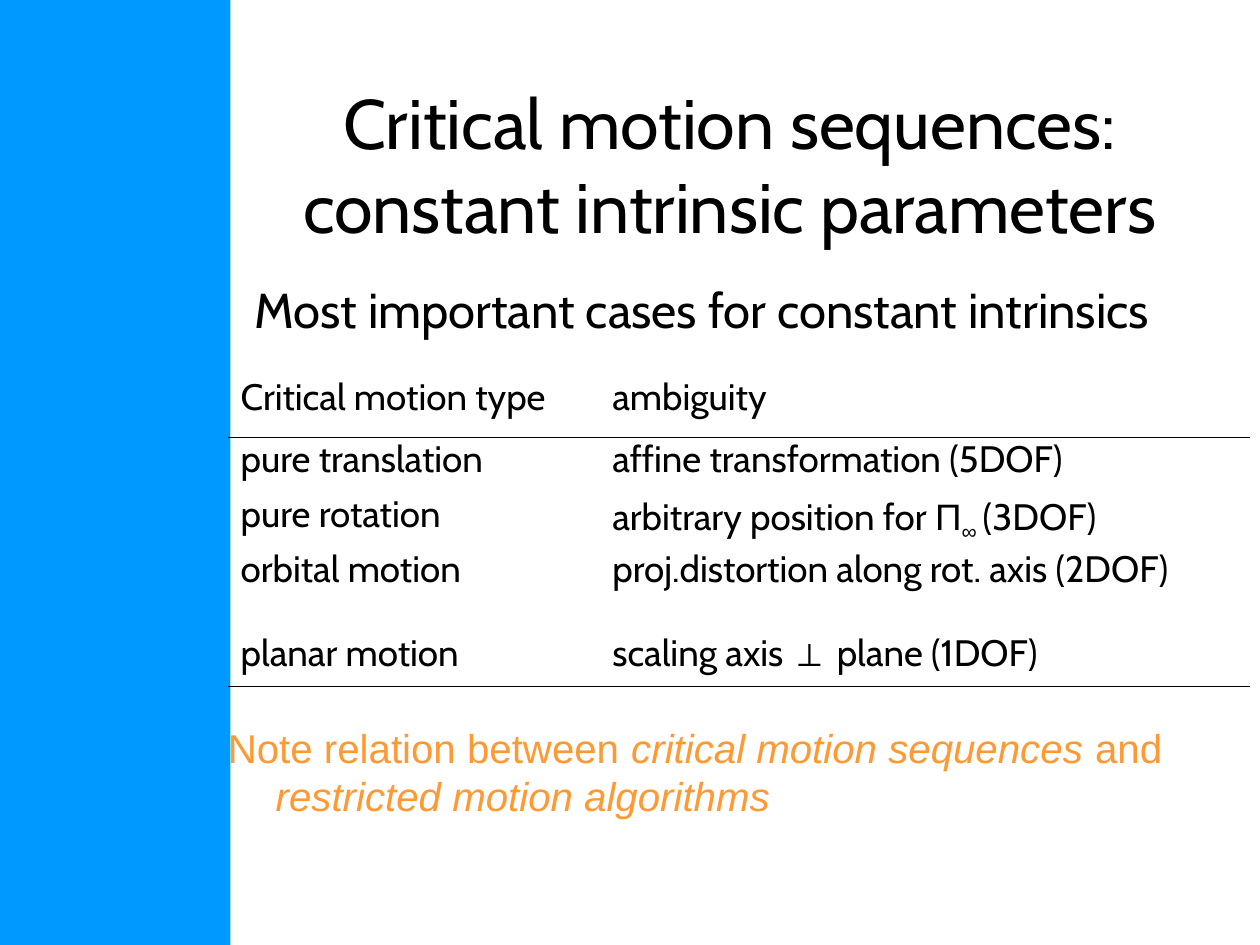
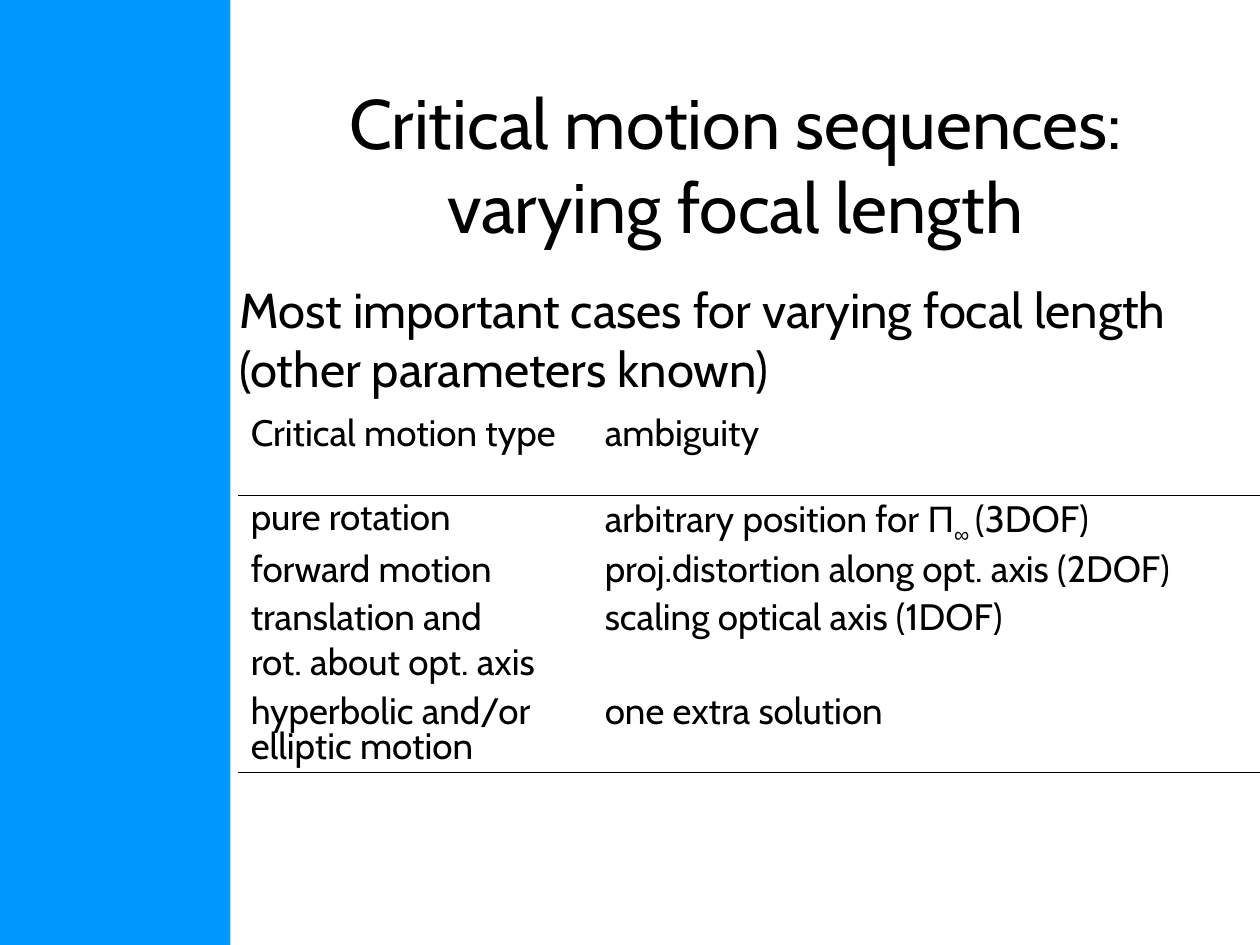
from lxml import etree
from pptx import Presentation
from pptx.dml.color import RGBColor
from pptx.enum import shapes, text
from pptx.oxml import ns
from pptx.util import Inches, Pt

BLUE = RGBColor(0x00, 0x99, 0xFF)
BLACK = RGBColor(0x00, 0x00, 0x00)
ORANGE = RGBColor(0xFF, 0x99, 0x33)
MAIN_FONT, SYMBOL_FONT = "Cabin", "Arial"
PLAIN_TABLE = "{2D5ABB26-0587-4C30-8999-92F81FD0307C}"
HANG = 0.38

SYMBOL = {"font": SYMBOL_FONT}
SUBSCRIPT = {"font": SYMBOL_FONT, "baseline": -25}
ITALIC = {"italic": True}
HEADER = ("Critical motion type", "ambiguity")
ROTATION = ("pure rotation",
            [("arbitrary position for ", {}), ("Π", SYMBOL), ("∞ ", SUBSCRIPT), ("(3DOF)", {})])


def add_run(paragraph, wording, size, font=MAIN_FONT, color=BLACK, italic=False, baseline=0):
    """Add one formatted run to a paragraph."""
    run = paragraph.add_run()
    run.text = wording
    run.font.size = Pt(size)
    run.font.name = font
    run.font.color.rgb = color
    run.font.italic = italic
    if baseline:
        run.font._element.set("baseline", str(baseline * 1000))


def write(frame, content, align=text.PP_ALIGN.LEFT, spacing=None, before=0,
          left=0, indent=0, **run_format):
    """Fill a frame with lines of a string, or with (wording, format) runs."""
    lines = [[(line, {})] for line in content.split("\n")] if isinstance(content, str) else [content]
    for number, runs in enumerate(lines):
        paragraph = frame.add_paragraph() if number else frame.paragraphs[0]
        paragraph.alignment = align
        paragraph.line_spacing = spacing
        paragraph.space_before = Pt(before if number else 0)
        properties = paragraph._p.get_or_add_pPr()
        properties.set("marL", str(Inches(left)))
        properties.set("indent", str(Inches(indent)))
        for wording, changes in runs:
            add_run(paragraph, wording, **{**run_format, **changes})


def place(shape, box):
    """Move a shape to a box given in inches."""
    shape.left, shape.top, shape.width, shape.height = map(Inches, box)


def add_band(slide):
    """Draw the blue side band behind everything else."""
    band = slide.shapes.add_shape(shapes.MSO_SHAPE.RECTANGLE, 0, 0, Inches(1.83), Inches(7.5))
    band.shadow.inherit = False
    band.fill.solid()
    band.fill.fore_color.rgb = BLUE
    band.line.fill.background()
    slide.shapes._spTree.insert(2, band._element)


def set_title(slide, lines, left, width):
    """Place the title and write its two lines."""
    title = slide.shapes.title
    place(title, (left, 0.67, width, 1.25))
    frame = title.text_frame
    frame.auto_size = text.MSO_AUTO_SIZE.NONE
    frame.vertical_anchor = text.MSO_ANCHOR.MIDDLE
    write(frame, lines, align=text.PP_ALIGN.CENTER, size=40)


def add_text(slide, box, content, **text_format):
    """Add a wrapping text box."""
    frame = slide.shapes.add_textbox(*map(Inches, box)).text_frame
    frame.word_wrap = True
    write(frame, content, **text_format)


def rule_below(cell):
    """Draw a thin black line under a table cell."""
    rule = etree.Element(ns.qn("a:lnB"), w=str(Pt(0.45)))
    fill = etree.SubElement(rule, ns.qn("a:solidFill"))
    etree.SubElement(fill, ns.qn("a:srgbClr"), val=str(BLACK))
    cell._tc.get_or_add_tcPr().insert(0, rule)


def add_cases(slide, left, top, widths, heights, cases):
    """Add the table of motion types, ruled below its header and its last row."""
    rows = [HEADER, *cases]
    table = slide.shapes.add_table(len(rows), len(widths), Inches(left), Inches(top),
                                   Inches(sum(widths)), Inches(sum(heights))).table
    table.first_row = table.horz_banding = False
    table._tbl.tblPr.find(ns.qn("a:tableStyleId")).text = PLAIN_TABLE
    for column, width in zip(table.columns, widths):
        column.width = Inches(width)
    for r, (row, height) in enumerate(zip(rows, heights)):
        table.rows[r].height = Inches(height)
        for c, content in enumerate(row):
            cell = table.cell(r, c)
            cell.fill.background()
            write(cell.text_frame, content, size=21, spacing=0.8, before=5.2)
            if r in (0, len(rows) - 1):
                rule_below(cell)


def add_case_slide(deck, title, title_left, title_width):
    """Start a slide with the shared band and title."""
    slide = deck.slides.add_slide(deck.slide_layouts[5])
    add_band(slide)
    set_title(slide, title, title_left, title_width)
    return slide


def add_constant_slide(deck):
    """Build the slide on constant intrinsic parameters."""
    slide = add_case_slide(deck, "", 1.58, 8.42)
    write_title_lines(slide, "Critical motion sequences:", "constant intrinsic parameters")
    add_text(slide, (1.92, 2.17, 7.83, 0.6), "Most important cases for constant intrinsics",
             size=28, left=HANG, indent=-HANG)
    add_cases(slide, 1.81, 2.98, (2.95, 5.16), (0.49, 0.44, 0.44, 0.66, 0.44), [
        ("pure translation", "affine transformation (5DOF)"),
        ROTATION,
        ("orbital motion", "proj.distortion along rot. axis (2DOF)"),
        ("planar motion", [("scaling axis ", {}), ("⊥", SYMBOL), (" plane (1DOF)", {})]),
    ])
    add_text(slide, (1.71, 5.69, 7.87, 0.89),
             [("Note relation between ", {}), ("critical motion sequences", ITALIC),
              (" and ", {}), ("restricted motion algorithms", ITALIC)],
             size=23, font=SYMBOL_FONT, color=ORANGE, left=HANG, indent=-HANG)


def add_varying_slide(deck):
    """Build the slide on varying focal length."""
    slide = add_case_slide(deck, "", 1.92, 7.83)
    write_title_lines(slide, "Critical motion sequences:", "varying focal length")
    add_text(slide, (1.42, 2.17, 8.58, 1.05),
             "Most important cases for varying focal length (other parameters known)",
             size=28, left=HANG)
    add_cases(slide, 1.89, 3.27, (2.81, 5.3), (0.66, 0.42, 0.38, 0.74, 0.66), [
        ROTATION,
        ("forward motion", "proj.distortion along opt. axis (2DOF)"),
        ("translation and\nrot. about opt. axis", "scaling optical axis (1DOF)"),
        ("hyperbolic and/or elliptic motion", "one extra solution"),
    ])


def write_title_lines(slide, first, second):
    """Write the two title lines with a line break between them."""
    paragraph = slide.shapes.title.text_frame.paragraphs[0]
    for run in paragraph.runs:
        paragraph._p.remove(run._r)
    add_run(paragraph, first, size=40)
    paragraph.add_line_break()
    add_run(paragraph, second, size=40)


def main():
    """Build and save the deck."""
    deck = Presentation()
    deck.slide_width, deck.slide_height = Inches(10), Inches(7.5)
    add_constant_slide(deck)
    add_varying_slide(deck)
    deck.save("out.pptx")


if __name__ == "__main__":
    main()
